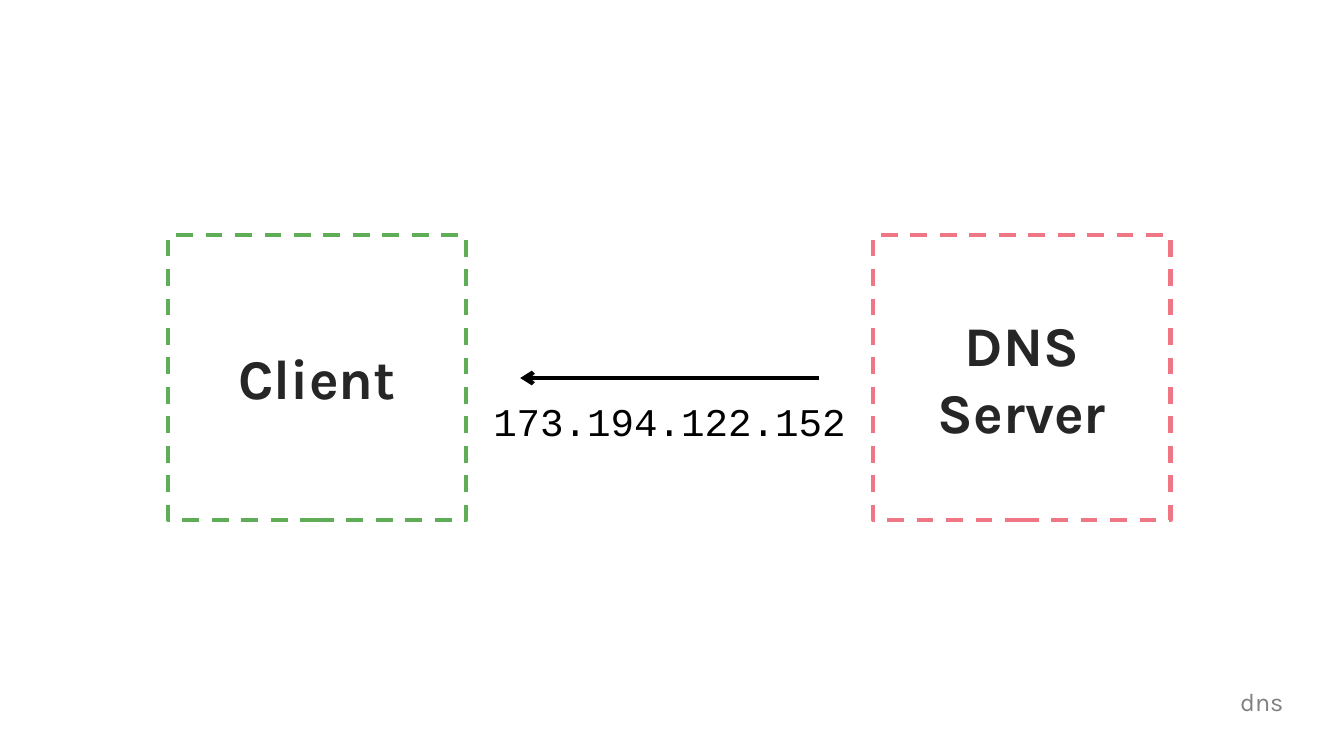
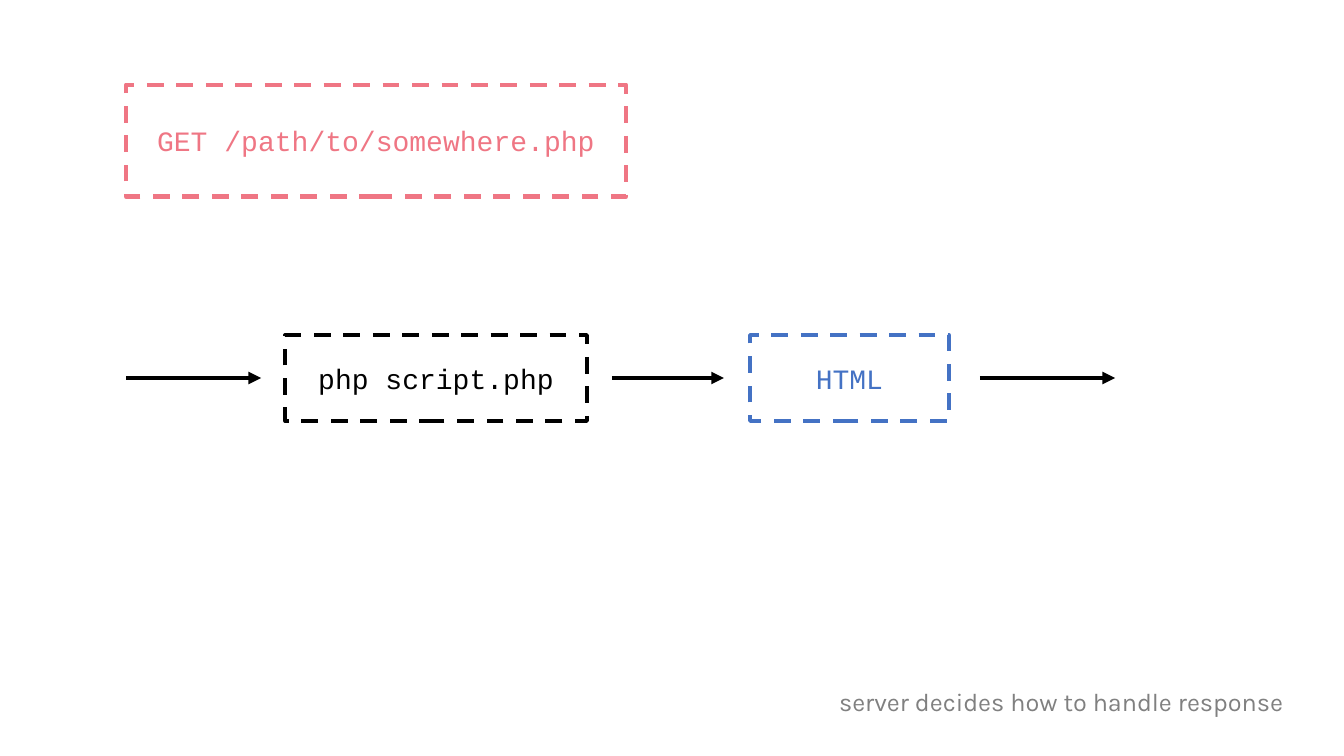
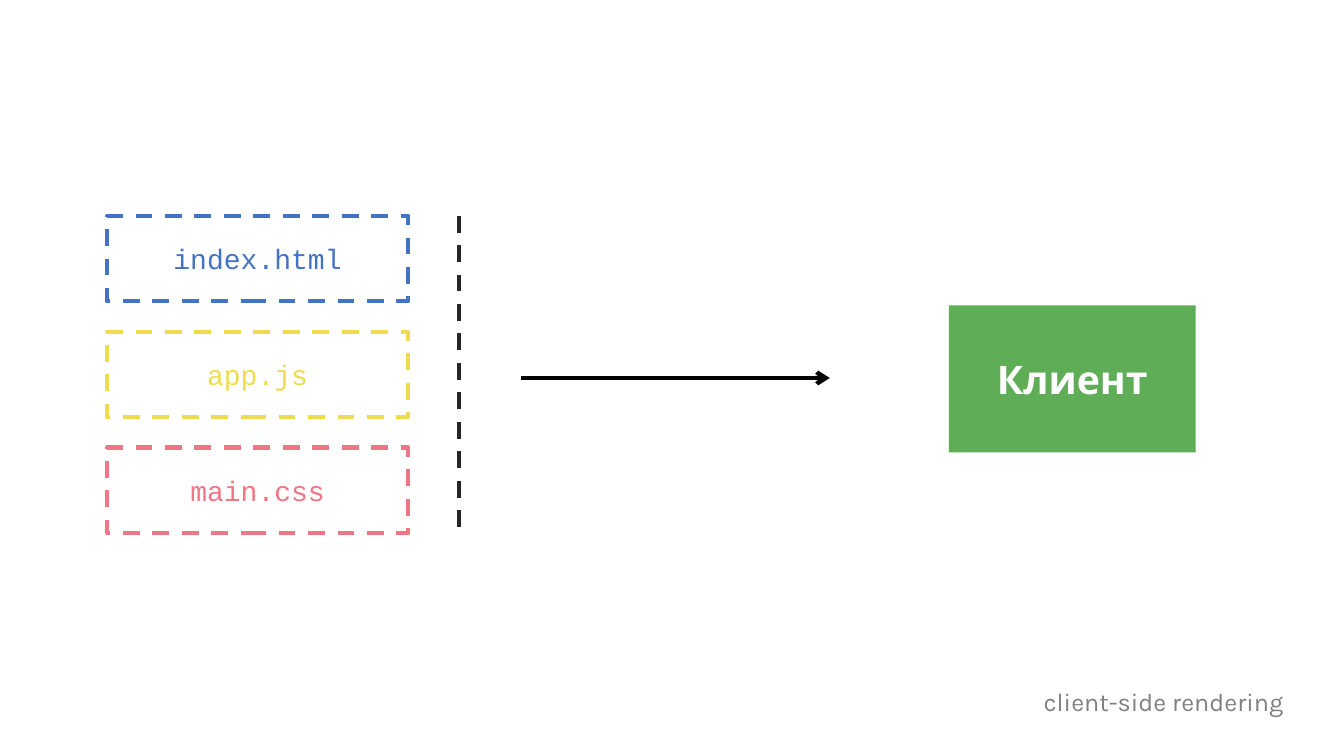
from lxml import etree
from pptx import Presentation
from pptx.dml.color import RGBColor
from pptx.enum.dml import MSO_LINE
from pptx.enum.shapes import MSO_CONNECTOR, MSO_SHAPE
from pptx.enum.text import MSO_ANCHOR, MSO_AUTO_SIZE, PP_ALIGN
from pptx.oxml.ns import qn
from pptx.util import Inches, Pt

RECTANGLE = MSO_SHAPE.RECTANGLE
STRAIGHT = MSO_CONNECTOR.STRAIGHT
DASH = MSO_LINE.DASH
TOP, MIDDLE = MSO_ANCHOR.TOP, MSO_ANCHOR.MIDDLE
CENTER, RIGHT = PP_ALIGN.CENTER, PP_ALIGN.RIGHT
NO_AUTOFIT = MSO_AUTO_SIZE.NONE

TITLE_ONLY = 5
SLIDE_W, SLIDE_H = 13.33, 7.5
AXIS_Y = SLIDE_H / 2
STROKE = Pt(3)

COLORS = {
    "black": "000000",
    "ink": "262626",
    "gray": "808080",
    "white": "FFFFFF",
    "red": "EF7684",
    "green": "5FAD56",
    "blue": "4472C4",
    "yellow": "F0DB4F",
}
FORMATS = {
    "caption": {"name": "Karla", "size": Pt(18), "bold": False},
    "node": {"name": "Karla", "size": Pt(40), "bold": True},
    "solid": {"name": "Karla", "size": Pt(28), "bold": True},
    "code": {"name": "Courier New", "size": Pt(20), "bold": False},
    "address": {"name": "Courier New", "size": Pt(28), "bold": False},
}


def rgb(color):
    """Return the named colour."""
    return RGBColor.from_string(COLORS[color])


def write(frame, text, style, color, align=CENTER, anchor=MIDDLE):
    """Put one formatted paragraph into a text frame."""
    frame.word_wrap = True
    frame.vertical_anchor = anchor
    paragraph = frame.paragraphs[0]
    paragraph.alignment = align
    run = paragraph.add_run()
    run.text = text
    for attribute, value in FORMATS[style].items():
        setattr(run.font, attribute, value)
    run.font.color.rgb = rgb(color)
    return paragraph


def add_captioned_slide(deck, caption):
    """Add a slide whose title is the caption at the bottom right."""
    slide = deck.slides.add_slide(deck.slide_layouts[TITLE_ONLY])
    title = slide.shapes.title
    title.left, title.top = Inches(0.5), Inches(6.79)
    title.width, title.height = Inches(12.33), Inches(0.41)
    title.text_frame.auto_size = NO_AUTOFIT
    paragraph = write(title.text_frame, caption, "caption", "gray", RIGHT, TOP)
    paragraph.line_spacing = 0.9
    return slide


def add_box(slide, box, text, style, text_color, outline=None, fill=None):
    """Draw a labelled rectangle with a dashed outline or a solid fill."""
    rectangle = slide.shapes.add_shape(RECTANGLE, *map(Inches, box))
    rectangle.shadow.inherit = False
    if fill:
        rectangle.fill.solid()
        rectangle.fill.fore_color.rgb = rgb(fill)
    else:
        rectangle.fill.background()
    if outline:
        rectangle.line.color.rgb = rgb(outline)
        rectangle.line.width = STROKE
        rectangle.line.dash_style = DASH
    else:
        rectangle.line.fill.background()
    write(rectangle.text_frame, text, style, text_color)


def add_code_box(slide, box, text, color):
    """Draw a dashed rectangle with code in the colour of its outline."""
    add_box(slide, box, text, "code", color, outline=color)


def add_line(slide, start, end, color="black", dash=None, tip=None):
    """Draw a straight line, dashed or with an arrowhead at its end."""
    connector = slide.shapes.add_connector(STRAIGHT, *map(Inches, (*start, *end)))
    connector.line.color.rgb = rgb(color)
    connector.line.width = STROKE
    if dash:
        connector.line.dash_style = dash
    if tip:
        outline = connector.line._get_or_add_ln()
        etree.SubElement(outline, qn("a:tailEnd"), type=tip)
    etree.SubElement(connector._element.spPr, qn("a:effectLst"))


def add_flow_arrow(slide, start_x, end_x, tip):
    """Draw an arrow along the middle of the slide."""
    add_line(slide, (start_x, AXIS_Y), (end_x, AXIS_Y), tip=tip)


def add_file_stack(slide, left, top, files):
    """Stack the file boxes and close them off with a dashed divider."""
    width, height, pitch = 2.99, 0.85, 1.15
    for row, (file_name, color) in enumerate(files):
        add_code_box(slide, (left, top + row * pitch, width, height), file_name, color)
    divider_x = left + width + 0.5
    bottom = top + (len(files) - 1) * pitch + height
    add_line(slide, (divider_x, top), (divider_x, bottom), "ink", dash=DASH)


def build_dns(deck):
    """Show the DNS server answering the client with an address."""
    slide = add_captioned_slide(deck, "dns")
    for left, name, color in ((8.66, "DNS Server", "red"), (1.67, "Client", "green")):
        add_box(slide, (left, 2.33, 2.95, 2.83), name, "node", "ink", outline=color)
    add_flow_arrow(slide, 8.12, 5.16, "arrow")
    address = slide.shapes.add_textbox(*map(Inches, (4.72, 3.89, 3.84, 0.57)))
    write(address.text_frame, "173.194.122.152", "address", "black", anchor=TOP)


def build_response(deck):
    """Show a request passing through a script and becoming HTML."""
    slide = add_captioned_slide(deck, "server decides how to handle response")
    add_code_box(slide, (1.25, 0.84, 4.96, 1.11), "GET /path/to/somewhere.php", "red")
    step_height = 0.85
    step_top = AXIS_Y - step_height / 2
    for left, width, step, color in (
        (2.83, 2.99, "php script.php", "black"),
        (7.44, 1.97, "HTML", "blue"),
    ):
        add_code_box(slide, (left, step_top, width, step_height), step, color)
    for start_x, end_x in ((1.25, 2.59), (6.07, 7.18), (9.72, 11.06)):
        add_flow_arrow(slide, start_x, end_x, "triangle")


def build_rendering(deck):
    """Show the static files being sent to the client."""
    slide = add_captioned_slide(deck, "client-side rendering")
    files = (("index.html", "blue"), ("app.js", "yellow"), ("main.css", "red"))
    add_file_stack(slide, 1.06, 2.14, files)
    add_flow_arrow(slide, 5.17, 8.23, "arrow")
    add_box(slide, (9.41, 3.03, 2.45, 1.46), "Клиент", "solid", "white", fill="green")


def main():
    """Build the presentation and save it."""
    deck = Presentation()
    deck.slide_width, deck.slide_height = Inches(SLIDE_W), Inches(SLIDE_H)
    for build in (build_dns, build_response, build_rendering):
        build(deck)
    deck.save("out.pptx")


if __name__ == "__main__":
    main()
